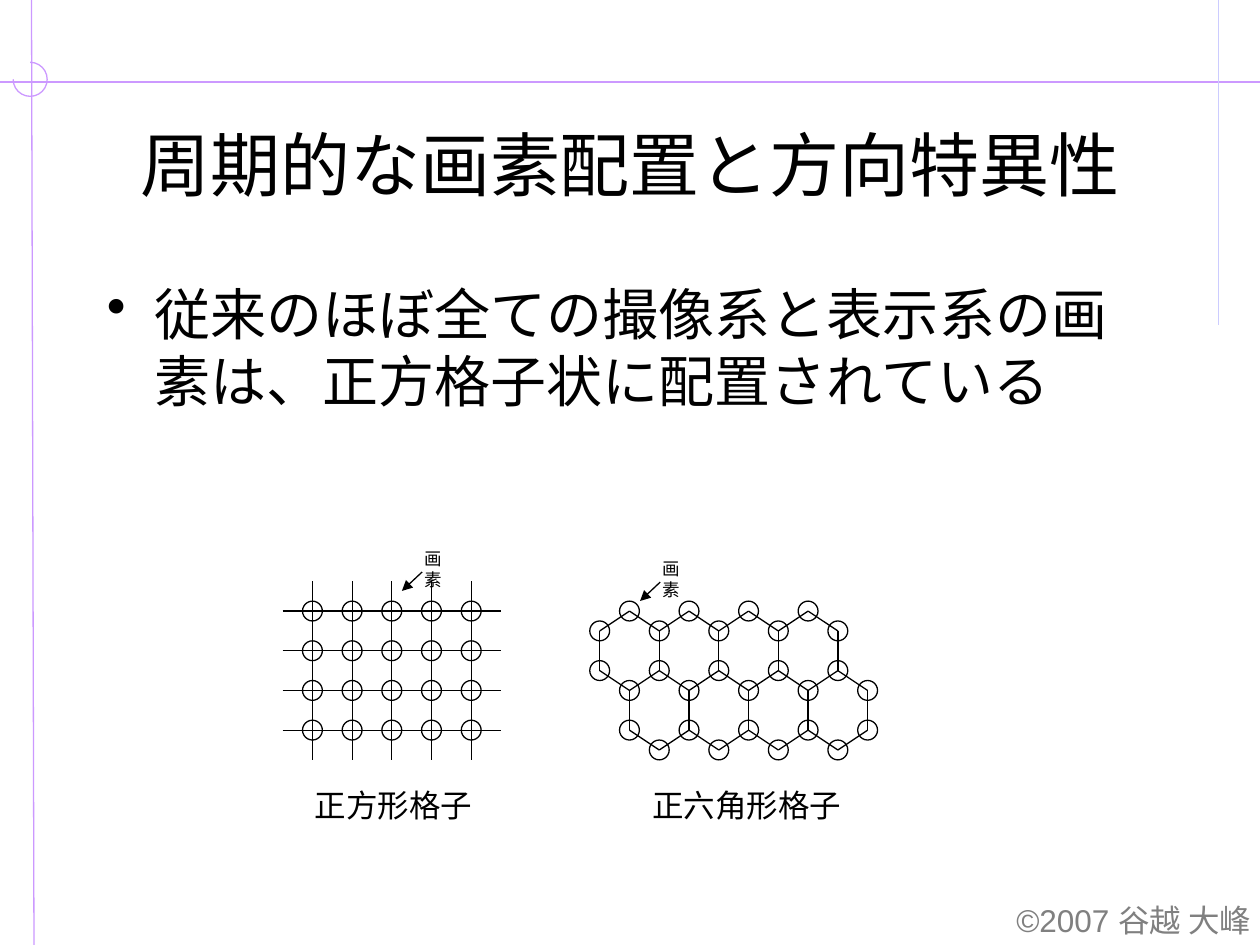
from dataclasses import dataclass

from lxml import etree
from pptx import Presentation
from pptx import util as u
from pptx.dml.color import RGBColor
from pptx.enum import shapes, text
from pptx.oxml.ns import qn

# The slide is a grid of 10 columns by 7.5 rows
WIDTH, HEIGHT = u.Inches(10), u.Inches(7.5)
COLUMN, ROW = WIDTH / 10, HEIGHT / 7.5
UNIT = 0.63 / 4  # pixel diameter, half the spacing of the square lattice
LATTICE_TOP = 4.85

Point = tuple[float, float]


@dataclass(frozen=True)
class Label:
    words: str
    left: float
    top: float
    width: float
    height: float
    size: int
    font: str = "Arial"
    color: str = "000000"
    align: text.PP_ALIGN = text.PP_ALIGN.LEFT
    anchor: text.MSO_ANCHOR = text.MSO_ANCHOR.TOP
    wrap: bool = False
    bullet: bool = False


@dataclass(frozen=True)
class Line:
    start: Point
    end: Point
    color: str = "000000"
    arrow: bool = False


def rgb(color: str) -> RGBColor:
    return RGBColor.from_string(color)


def across(columns: float) -> int:
    return round(columns * COLUMN)


def down(rows: float) -> int:
    return round(rows * ROW)


def draw_line(slide, line: Line) -> None:
    connector = slide.shapes.add_connector(
        shapes.MSO_CONNECTOR.STRAIGHT,
        across(line.start[0]), down(line.start[1]),
        across(line.end[0]), down(line.end[1]))
    connector.line.color.rgb = rgb(line.color)
    connector.line.width = u.Pt(0.75)
    if line.arrow:
        etree.SubElement(connector.line._get_or_add_ln(), qn("a:tailEnd"), type="triangle")
    etree.SubElement(connector._element.spPr, qn("a:effectLst"))


def draw_round(slide, center: Point, diameter: float, color: str = "000000",
               kind=shapes.MSO_SHAPE.OVAL):
    """Draw an unfilled circle or arc around a centre."""
    shape = slide.shapes.add_shape(
        kind, across(center[0] - diameter / 2), down(center[1] - diameter / 2),
        across(diameter), down(diameter))
    shape.shadow.inherit = False
    shape.fill.background()
    shape.line.color.rgb = rgb(color)
    shape.line.width = u.Pt(0.75)
    return shape


def draw_label(slide, label: Label) -> None:
    box = slide.shapes.add_textbox(across(label.left), down(label.top),
                                   across(label.width), down(label.height))
    frame = box.text_frame
    frame.text = label.words
    frame.word_wrap = label.wrap
    frame.vertical_anchor = label.anchor
    if not label.wrap:
        frame.auto_size = text.MSO_AUTO_SIZE.SHAPE_TO_FIT_TEXT
    paragraph = frame.paragraphs[0]
    paragraph.alignment = label.align
    font = paragraph.runs[0].font
    font.size, font.name = u.Pt(label.size), label.font
    font.color.rgb = rgb(label.color)
    if label.bullet:
        paragraph.space_before = u.Pt(8)
        properties = paragraph._p.get_or_add_pPr()
        indent = across(0.38)
        properties.set("marL", str(indent))
        properties.set("indent", str(-indent))
        etree.SubElement(properties, qn("a:buChar"), char="•")


def draw_lattice(slide, edges: list[tuple[Point, Point]], pixels: list[Point]) -> None:
    for start, end in edges:
        draw_line(slide, Line(start, end))
    for pixel in pixels:
        draw_round(slide, pixel, UNIT)


def draw_square_lattice(slide, left: float, columns: int, rows: int) -> None:
    xs = [left + 2 * UNIT * column for column in range(columns)]
    ys = [LATTICE_TOP + 2 * UNIT * row for row in range(rows)]
    margin = 1.5 * UNIT
    edges = [((xs[0] - margin, y), (xs[-1] + margin, y)) for y in ys]
    edges += [((x, ys[0] - margin), (x, ys[-1] + margin)) for x in xs]
    draw_lattice(slide, edges, [(x, y) for y in ys for x in xs])


def draw_hexagon_lattice(slide, left: float, columns: int, rows: int) -> None:
    corners = [(1, 0), (2, 1), (2, 3), (1, 4), (0, 3), (0, 1)]
    edges = set()
    for row in range(rows):
        for column in range(columns):
            # Each row of cells is shifted by half a cell
            cell = [(2 * column + row + x, 3 * row + y) for x, y in corners]
            edges |= {tuple(sorted(pair)) for pair in zip(cell, cell[1:] + cell[:1])}

    def place(node: tuple[int, int]) -> Point:
        return left + 1.5 * UNIT * node[0], LATTICE_TOP + UNIT * node[1]

    nodes = sorted({node for edge in edges for node in edge})
    draw_lattice(slide, [(place(a), place(b)) for a, b in sorted(edges)],
                 [place(node) for node in nodes])


FRAME_LINES = [
    Line((0.25, 0), (0.27, 7.5), "CC99FF"),
    Line((0, 0.65), (10, 0.65), "CC99FF"),
    Line((9.67, 0), (9.67, 2.58), "CCCCFF"),
]
POINTERS = [
    Line((3.35, 4.54), (3.19, 4.69), arrow=True),
    Line((5.24, 4.62), (5.08, 4.77), arrow=True),
]
LABELS = [
    Label("周期的な画素配置と方向特異性", 0.75, 0.67, 8.5, 1.25, 40, "Times New Roman",
          align=text.PP_ALIGN.CENTER, anchor=text.MSO_ANCHOR.MIDDLE, wrap=True),
    Label("従来のほぼ全ての撮像系と表示系の画素は、正方格子状に配置されている",
          0.75, 2.17, 8.34, 4.5, 32, "Times New Roman", wrap=True, bullet=True),
    Label("正方形格子", 2.4, 6.19, 1.45, 0.4, 18),
    Label("正六角形格子", 5.08, 6.19, 1.7, 0.4, 18),
    Label("画素", 3.27, 4.3, 0.47, 0.27, 10),
    Label("画素", 5.16, 4.38, 0.47, 0.27, 10),
    Label("©2007 谷越 大峰", 7.89, 7.1, 2.14, 0.4, 18, color="808080",
          align=text.PP_ALIGN.RIGHT),
]


def main() -> None:
    presentation = Presentation()
    presentation.slide_width, presentation.slide_height = WIDTH, HEIGHT
    slide = presentation.slides.add_slide(presentation.slide_layouts[6])

    # Frame lines with a three-quarter circle at their crossing
    for line in FRAME_LINES:
        draw_line(slide, line)
    arc = draw_round(slide, (0.24, 0.63), 0.27, "CC99FF", shapes.MSO_SHAPE.ARC)
    arc.adjustments[0], arc.adjustments[1] = 162, 108  # from top to left

    # Pixel lattices
    draw_square_lattice(slide, left=2.48, columns=5, rows=4)
    draw_hexagon_lattice(slide, left=4.76, columns=4, rows=2)

    # Wording and pointers
    for pointer in POINTERS:
        draw_line(slide, pointer)
    for label in LABELS:
        draw_label(slide, label)

    presentation.save("out.pptx")


if __name__ == "__main__":
    main()
